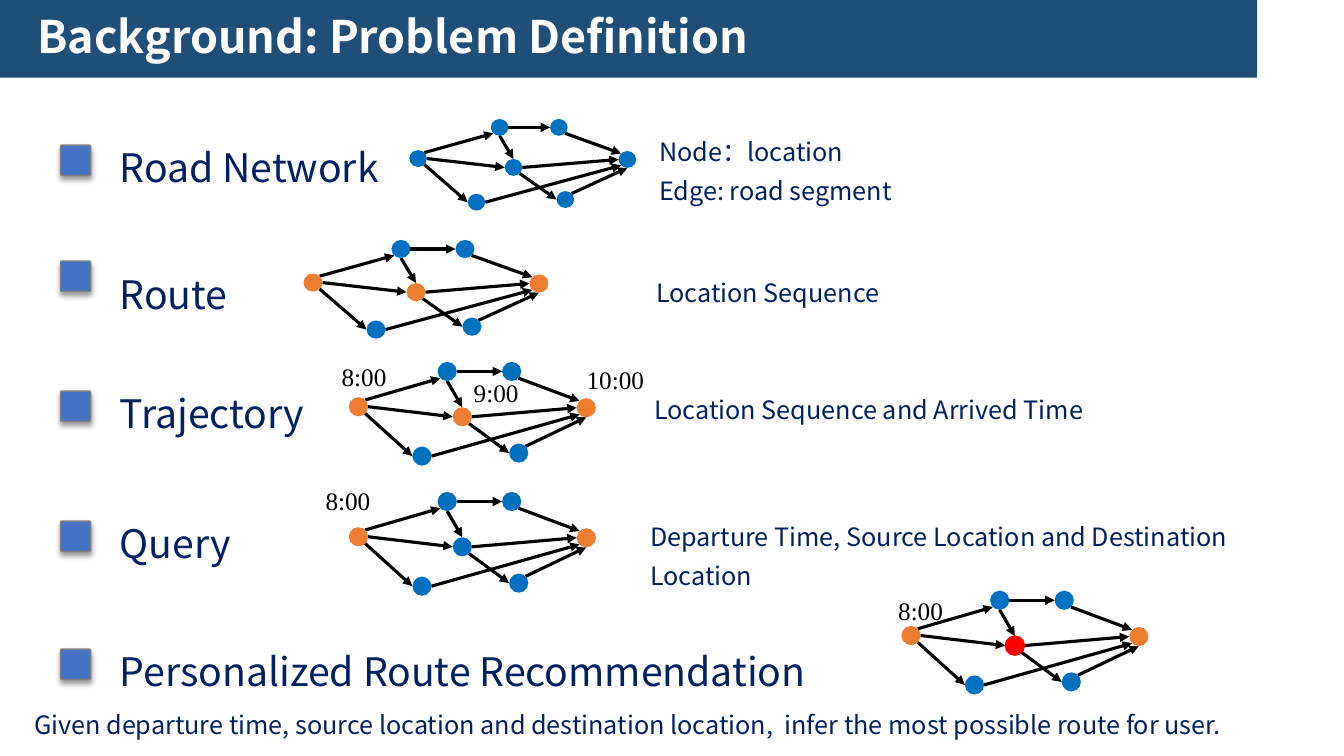
from dataclasses import dataclass

from lxml import etree
from pptx import Presentation
from pptx.dml.color import RGBColor
from pptx.enum.shapes import MSO_CONNECTOR, MSO_SHAPE
from pptx.enum.text import MSO_AUTO_SIZE
from pptx.oxml import parse_xml
from pptx.oxml.ns import nsdecls, qn
from pptx.util import Inches, Pt

RECTANGLE = MSO_SHAPE.RECTANGLE
ROUNDED_RECTANGLE = MSO_SHAPE.ROUNDED_RECTANGLE
OVAL = MSO_SHAPE.OVAL
STRAIGHT = MSO_CONNECTOR.STRAIGHT
GROW = MSO_AUTO_SIZE.SHAPE_TO_FIT_TEXT


@dataclass(frozen=True)
class Theme:
    sans: str = "Noto Sans CJK SC"
    serif: str = "Times New Roman"
    banner: str = "1F4E79"
    white: str = "FFFFFF"
    navy: str = "002060"
    black: str = "000000"
    bullet: str = "4472C4"
    bullet_line: str = "7F7F7F"
    blue: str = "0070C0"
    orange: str = "ED7D31"
    red: str = "FF0000"
    title_size: int = 32
    heading_size: int = 28
    body_size: int = 18
    edge_width: float = 2.25


THEME = Theme()
TITLE = {"name": THEME.sans, "size": THEME.title_size, "color": THEME.white, "bold": True}
HEADING = {"name": THEME.sans, "size": THEME.heading_size, "color": THEME.navy}
BODY = {"name": THEME.sans, "size": THEME.body_size, "color": THEME.navy}
TIME = {"name": THEME.serif, "size": THEME.body_size, "color": THEME.black}

# Top-left corner of every node inside a graph of full size
GRAPH_WIDTH, GRAPH_HEIGHT, NODE_SIZE = 2.45, 1.03, 0.19
NODES = {
    "source": (0, 0.35),
    "upper left": (0.88, 0),
    "upper right": (1.52, 0),
    "middle": (1.03, 0.45),
    "lower left": (0.63, 0.84),
    "lower right": (1.59, 0.81),
    "destination": (2.26, 0.36),
}
# Points on a node's rim, as fractions of its size
RIM = {
    "top": (0.5, 0), "bottom": (0.5, 1), "left": (0, 0.5), "right": (1, 0.5),
    "NW": (0.15, 0.15), "NE": (0.85, 0.15), "SW": (0.15, 0.85), "SE": (0.85, 0.85),
}
EDGES = [
    ("source", "NE", "upper left", "SW"),
    ("source", "right", "middle", "left"),
    ("source", "SE", "lower left", "left"),
    ("upper left", "right", "upper right", "left"),
    ("upper left", "bottom", "middle", "top"),
    ("upper right", "SE", "destination", "NW"),
    ("middle", "right", "destination", "left"),
    ("middle", "SE", "lower right", "left"),
    ("lower left", "right", "destination", "SW"),
    ("lower right", "NE", "destination", "bottom"),
]
ENDS = {"source": THEME.orange, "destination": THEME.orange}
ROUTE = {**ENDS, "middle": THEME.orange}
RECOMMENDED = {**ENDS, "middle": THEME.red}

# Heading, bullet top, heading top
TOPICS = [
    ("Road Network", 1.44, 1.23),
    ("Route", 2.59, 2.49),
    ("Trajectory", 3.88, 3.67),
    ("Query", 5.17, 4.96),
    ("Personalized Route Recommendation", 6.44, 6.23),
]
# Left, top, width, height, node colours
GRAPHS = [
    (4.06, 1.18, 2.25, 0.91, {}),
    (3.01, 2.38, 2.43, 0.98, ROUTE),
    (3.46, 3.59, GRAPH_WIDTH, GRAPH_HEIGHT, ROUTE),
    (3.46, 4.88, GRAPH_WIDTH, GRAPH_HEIGHT, ENDS),
    (8.94, 5.86, GRAPH_WIDTH, GRAPH_HEIGHT, RECOMMENDED),
]
TIMES = [
    ("8:00", 3.29, 3.54),
    ("9:00", 4.6, 3.69),
    ("10:00", 5.72, 3.57),
    ("8:00", 3.13, 4.77),
    ("8:00", 8.81, 5.86),
]
# Lines, left, top, width, height
EXPLANATIONS = [
    (["Node：location", "Edge: road segment"], 6.44, 1.21, 5.95, 0.85),
    (["Location Sequence"], 6.41, 2.61, 6.62, 0.46),
    (["Location Sequence and Arrived Time"], 6.39, 3.77, 5.63, 0.46),
    (["Departure Time, Source Location and Destination Location"], 6.35, 5.03, 6.15, 0.85),
    (["Given departure time, source location and destination location,  "
      "infer the most possible route for user."], 0.24, 6.9, 12.69, 0.46),
]


def add_filled_shape(shapes, kind, box, fill, line=None):
    shape = shapes.add_shape(kind, *map(Inches, box))
    shape.shadow.inherit = False
    shape.fill.solid()
    shape.fill.fore_color.rgb = RGBColor.from_string(fill)
    if line:
        shape.line.color.rgb = RGBColor.from_string(line)
        shape.line.width = Pt(1)
    else:
        shape.line.fill.background()
    return shape


def add_text(slide, lines, box, style, line_spacing=None):
    frame = slide.shapes.add_textbox(*map(Inches, box)).text_frame
    frame.word_wrap = True
    frame.auto_size = GROW
    for index, line in enumerate(lines):
        paragraph = frame.paragraphs[0] if index == 0 else frame.add_paragraph()
        paragraph.line_spacing = line_spacing
        run = paragraph.add_run()
        run.text = line
        values = {**style, "size": Pt(style["size"])}
        run.font.color.rgb = RGBColor.from_string(values.pop("color"))
        for name, value in values.items():
            setattr(run.font, name, value)
        east_asian = etree.SubElement(run.font._element, qn("a:ea"))
        east_asian.set("typeface", style["name"])


def add_bullet(slide, top):
    """Add a square topic marker with a soft shadow below it."""
    bullet = add_filled_shape(slide.shapes, ROUNDED_RECTANGLE, (0.6, top, 0.3, 0.3),
                              THEME.bullet, THEME.bullet_line)
    bullet.adjustments[0] = 0.05
    effects = bullet._element.spPr.find(qn("a:effectLst"))
    effects.append(parse_xml(
        f'<a:outerShdw {nsdecls("a")} blurRad="{Pt(4)}" dist="{Pt(3)}" dir="5400000" '
        f'rotWithShape="0"><a:srgbClr val="{THEME.black}"><a:alpha val="40000"/>'
        '</a:srgbClr></a:outerShdw>'))


def add_arrow(shapes, start, end):
    arrow = shapes.add_connector(STRAIGHT, *map(Inches, (*start, *end)))
    arrow.line.color.rgb = RGBColor.from_string(THEME.black)
    arrow.line.width = Pt(THEME.edge_width)
    etree.SubElement(arrow.line._get_or_add_ln(), qn("a:tailEnd")).set("type", "triangle")
    etree.SubElement(arrow._element.spPr, qn("a:effectLst"))


def add_graph(slide, left, top, width, height, colors):
    """Add the road network scaled to a box; nodes without a colour are blue."""
    shapes = slide.shapes.add_group_shape().shapes
    scale_x, scale_y = width / GRAPH_WIDTH, height / GRAPH_HEIGHT

    def place(node, fraction=(0, 0)):
        x, y = NODES[node]
        return (left + scale_x * (x + NODE_SIZE * fraction[0]),
                top + scale_y * (y + NODE_SIZE * fraction[1]))

    for start, start_side, end, end_side in EDGES:
        add_arrow(shapes, place(start, RIM[start_side]), place(end, RIM[end_side]))
    for node in NODES:
        color = colors.get(node, THEME.blue)
        box = (*place(node), NODE_SIZE * scale_x, NODE_SIZE * scale_y)
        add_filled_shape(shapes, OVAL, box, color, color if color == THEME.red else None)


def main():
    presentation = Presentation()
    presentation.slide_width = Inches(13.33)
    presentation.slide_height = Inches(7.5)
    slide = presentation.slides.add_slide(presentation.slide_layouts[6])

    add_filled_shape(slide.shapes, RECTANGLE, (0, 0, 12.47, 0.77), THEME.banner)
    add_text(slide, ["Background: Problem Definition"], (0.27, 0.04, 12.28, 0.94), TITLE)
    for heading, bullet_top, heading_top in TOPICS:
        add_bullet(slide, bullet_top)
        add_text(slide, [heading], (1.09, heading_top, 10.07, 0.65), HEADING, 1.3)
    for graph in GRAPHS:
        add_graph(slide, *graph)
    for time, left, top in TIMES:
        add_text(slide, [time], (left, top, 0.79, 0.4), TIME)
    for lines, *box in EXPLANATIONS:
        add_text(slide, lines, box, BODY, 1.3)

    presentation.save("out.pptx")


if __name__ == "__main__":
    main()
